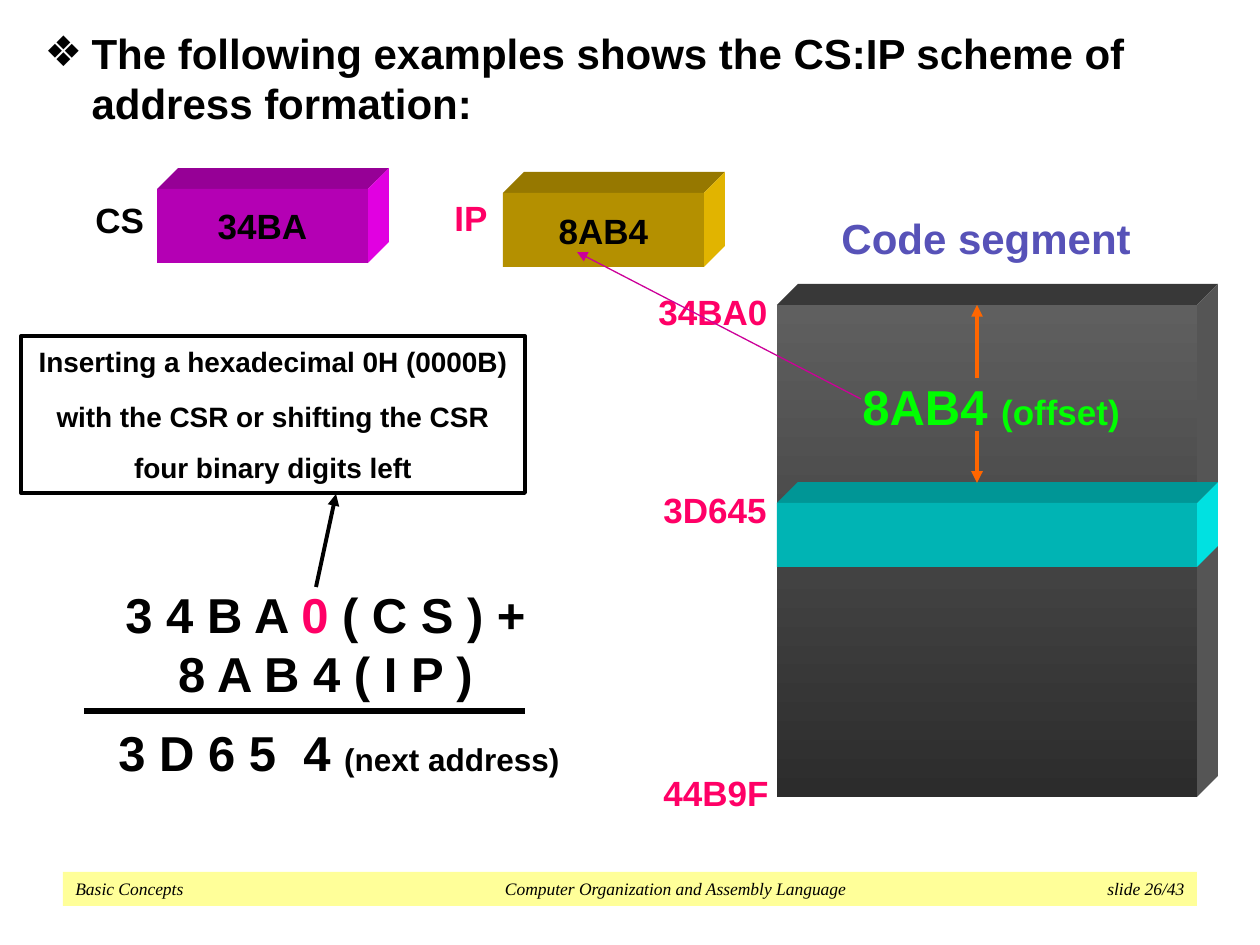
from lxml import etree
from pptx import Presentation, util as u
from pptx.dml.color import RGBColor
from pptx.enum import shapes, text
from pptx.oxml.ns import qn

PX_PER_INCH = 126
DEPTH = 21  # offset of the top and side faces of a block

BLACK = RGBColor(0x00, 0x00, 0x00)
WHITE = RGBColor(0xFF, 0xFF, 0xFF)
PINK = RGBColor(0xFF, 0x00, 0x66)
GREEN = RGBColor(0x00, 0xFF, 0x00)
INDIGO = RGBColor(0x57, 0x52, 0xB8)
ORANGE = RGBColor(0xFF, 0x66, 0x00)
MAGENTA = RGBColor(0xCC, 0x00, 0x99)
FOOTER_YELLOW = RGBColor(0xFF, 0xFF, 0x99)

# Front, top and side face of each block
PURPLES = RGBColor(0xB4, 0x00, 0xB4), RGBColor(0x96, 0x00, 0x96), RGBColor(0xE1, 0x00, 0xE1)
GOLDS = RGBColor(0xB4, 0x90, 0x00), RGBColor(0x96, 0x78, 0x00), RGBColor(0xE1, 0xB4, 0x00)
TEALS = RGBColor(0x00, 0xB4, 0xB4), RGBColor(0x00, 0x96, 0x96), RGBColor(0x00, 0xE1, 0xE1)
GREYS = RGBColor(0x5F, 0x5F, 0x5F), RGBColor(0x38, 0x38, 0x38), RGBColor(0x55, 0x55, 0x55)
GREY_END = RGBColor(0x2C, 0x2C, 0x2C)


def px(length):
    return u.Emu(round(length * 914400 / PX_PER_INCH))


def set_font(font, size, color=BLACK, name="Arial", bold=True, italic=False):
    font.name, font.size, font.bold, font.italic = name, u.Pt(size), bold, italic
    font.color.rgb = color


def paint(shape, fill, line=None, width=1):
    shape.shadow.inherit = False
    shape.fill.solid()
    shape.fill.fore_color.rgb = fill
    if line is None:
        shape.line.fill.background()
    else:
        shape.line.color.rgb = line
        shape.line.width = u.Pt(width)


def add_rect(slide, box, fill, line=None, width=1):
    rect = slide.shapes.add_shape(shapes.MSO_SHAPE.RECTANGLE, *map(px, box))
    paint(rect, fill, line, width)
    return rect


def add_paragraphs(frame, lines, size, gaps):
    """Centre the lines in the frame; each line is a list of (text, colour, size)."""
    frame.word_wrap = False
    frame.vertical_anchor = text.MSO_ANCHOR.MIDDLE
    for index, (line, gap) in enumerate(zip(lines, gaps)):
        paragraph = frame.paragraphs[0] if index == 0 else frame.add_paragraph()
        paragraph.alignment = text.PP_ALIGN.CENTER
        paragraph.space_before = u.Pt(gap)
        set_font(paragraph.font, size)
        for words, color, run_size in line:
            run = paragraph.add_run()
            run.text = words
            set_font(run.font, run_size, color)


def add_block(slide, box, faces, caption=None):
    """Draw a box with a top and a right face, and return its front."""
    left, top, width, height = box
    right, bottom = left + width, top + height
    front_color, top_color, side_color = faces
    back_corner = (right + DEPTH, top - DEPTH)
    outlines = (
        ([(left, top), (left + DEPTH, top - DEPTH), back_corner, (right, top)], top_color),
        ([(right, top), back_corner, (right + DEPTH, bottom - DEPTH), (right, bottom)], side_color),
    )
    for points, color in outlines:
        builder = slide.shapes.build_freeform(*points[0], scale=914400 / PX_PER_INCH)
        builder.add_line_segments(points[1:], close=True)
        paint(builder.convert_to_shape(), color)
    front = add_rect(slide, box, front_color)
    if caption:
        add_paragraphs(front.text_frame, [[(caption, BLACK, 20)]], 20, [0])
    return front


def add_label(slide, box, runs):
    frame = slide.shapes.add_textbox(*map(px, box)).text_frame
    frame.word_wrap = True
    for words, size, color in runs:
        run = frame.paragraphs[0].add_run()
        run.text = words
        set_font(run.font, size, color)


def add_line(slide, start, end, color, width, arrow=False):
    line = slide.shapes.add_connector(
        shapes.MSO_CONNECTOR.STRAIGHT, *map(px, start + end))
    line.line.color.rgb = color
    line.line.width = u.Pt(width)
    if arrow:
        outline = line.line._get_or_add_ln()
        etree.SubElement(outline, qn("a:tailEnd"), type="triangle")
    etree.SubElement(line._element.spPr, qn("a:effectLst"))


def add_footer(slide):
    frame = add_rect(slide, (63, 872, 1134, 34), FOOTER_YELLOW).text_frame
    frame.vertical_anchor = text.MSO_ANCHOR.MIDDLE
    paragraph = frame.paragraphs[0]
    paragraph.alignment = text.PP_ALIGN.LEFT
    paragraph.text = "Basic Concepts\tComputer Organization and Assembly Language\tslide 26/43"
    set_font(paragraph.font, 10, name="Times New Roman", bold=False, italic=True)
    tabs = etree.Element(qn("a:tabLst"))
    for position, align in ((600, "ctr"), (1109, "r")):
        etree.SubElement(tabs, qn("a:tab"), pos=str(px(position)), algn=align)
    paragraph._p.get_or_add_pPr().insert(0, tabs)


def fill_statement(slide):
    slide.shapes.title._element.getparent().remove(slide.shapes.title._element)
    body = slide.placeholders[1]
    body.left, body.top, body.width, body.height = map(px, (32, 21, 1197, 872))
    paragraph = body.text_frame.paragraphs[0]
    paragraph.text = "The following examples shows the CS:IP scheme of address formation:"
    set_font(paragraph.font, 24)
    paragraph.space_before = u.Pt(0)
    properties = paragraph._p.get_or_add_pPr()
    properties.set("marL", str(px(47)))
    properties.set("indent", str(px(-47)))
    etree.SubElement(properties, qn("a:buChar"), char="❖")
    properties.append(properties.find(qn("a:defRPr")))


def add_calculation(slide):
    note = add_rect(slide, (21, 336, 504, 157), WHITE, BLACK, 2.25)
    note_lines = ("Inserting a hexadecimal 0H (0000B)",
                  "with the CSR or shifting the CSR", "four binary digits left")
    add_paragraphs(note.text_frame, [[(line, BLACK, 16)] for line in note_lines], 16, (0, 12, 10))

    total = add_rect(slide, (42, 557, 567, 252), WHITE)
    add_paragraphs(total.text_frame, [
        [("3 4 B A ", BLACK, 28), ("0", PINK, 28), (" ( C S ) +", BLACK, 28)],
        [("8 A B 4 ( I P )", BLACK, 28)],
        [("3 D 6 5  4 ", BLACK, 28), ("(next address)", BLACK, 18)],
    ], 28, (0, 0, 12))
    result = total.text_frame.paragraphs[-1]
    result._p.get_or_add_pPr().set("marL", str(px(27)))
    add_line(slide, (84, 711), (525, 711), BLACK, 3)
    add_line(slide, (316, 587), (336, 494), BLACK, 2.25, arrow=True)


def add_code_segment(slide):
    segment = add_block(slide, (777, 305, 420, 492), GREYS)
    segment.fill.gradient()
    segment.fill.gradient_angle = 270
    for stop, color, position in zip(segment.fill.gradient_stops, (GREYS[0], GREY_END), (0, 1)):
        stop.color.rgb = color
        stop.position = position
    add_block(slide, (777, 503, 420, 64), TEALS)


def main():
    prs = Presentation()
    prs.slide_width, prs.slide_height = u.Inches(10), u.Inches(7.5)
    slide = prs.slides.add_slide(prs.slide_layouts[1])
    fill_statement(slide)
    add_footer(slide)
    add_calculation(slide)
    add_block(slide, (157, 189, 211, 74), PURPLES, "34BA")
    add_block(slide, (503, 193, 201, 74), GOLDS, "8AB4")
    add_code_segment(slide)

    for words, left, top, width, size, color in (
            ("CS", 83, 192, 84, 20, BLACK),
            ("IP", 442, 190, 73, 20, PINK),
            ("34BA0", 646, 284, 136, 20, PINK),
            ("3D645", 651, 482, 147, 20, PINK),
            ("44B9F", 651, 765, 158, 20, PINK),
            ("Code segment", 829, 206, 336, 24, INDIGO)):
        add_label(slide, (left, top, width, 54), [(words, size, color)])
    add_label(slide, (850, 370, 294, 72), [("8AB4 ", 28, GREEN), ("(offset)", 20, GREEN)])

    add_line(slide, (977, 378), (977, 305), ORANGE, 2.25, arrow=True)
    add_line(slide, (977, 431), (977, 483), ORANGE, 2.25, arrow=True)
    add_line(slide, (861, 399), (577, 252), MAGENTA, 0.75, arrow=True)
    prs.save("out.pptx")


if __name__ == "__main__":
    main()
